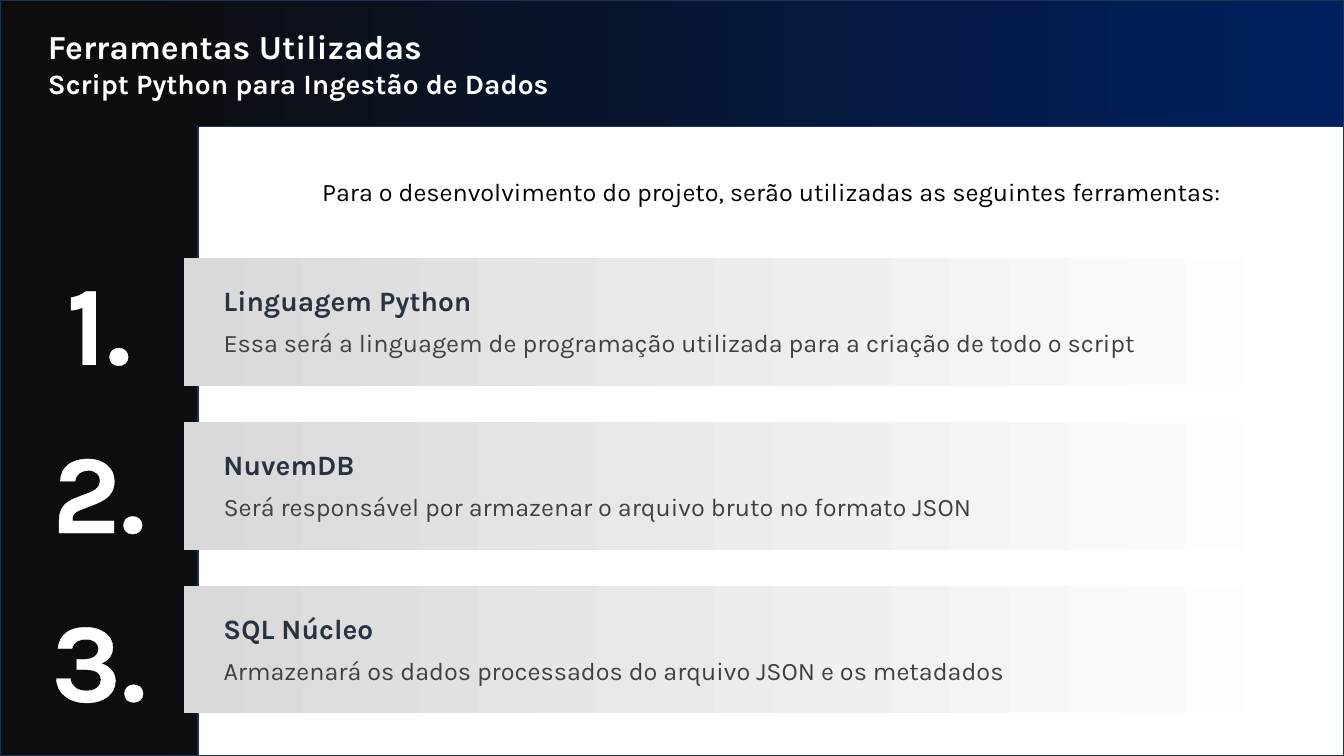
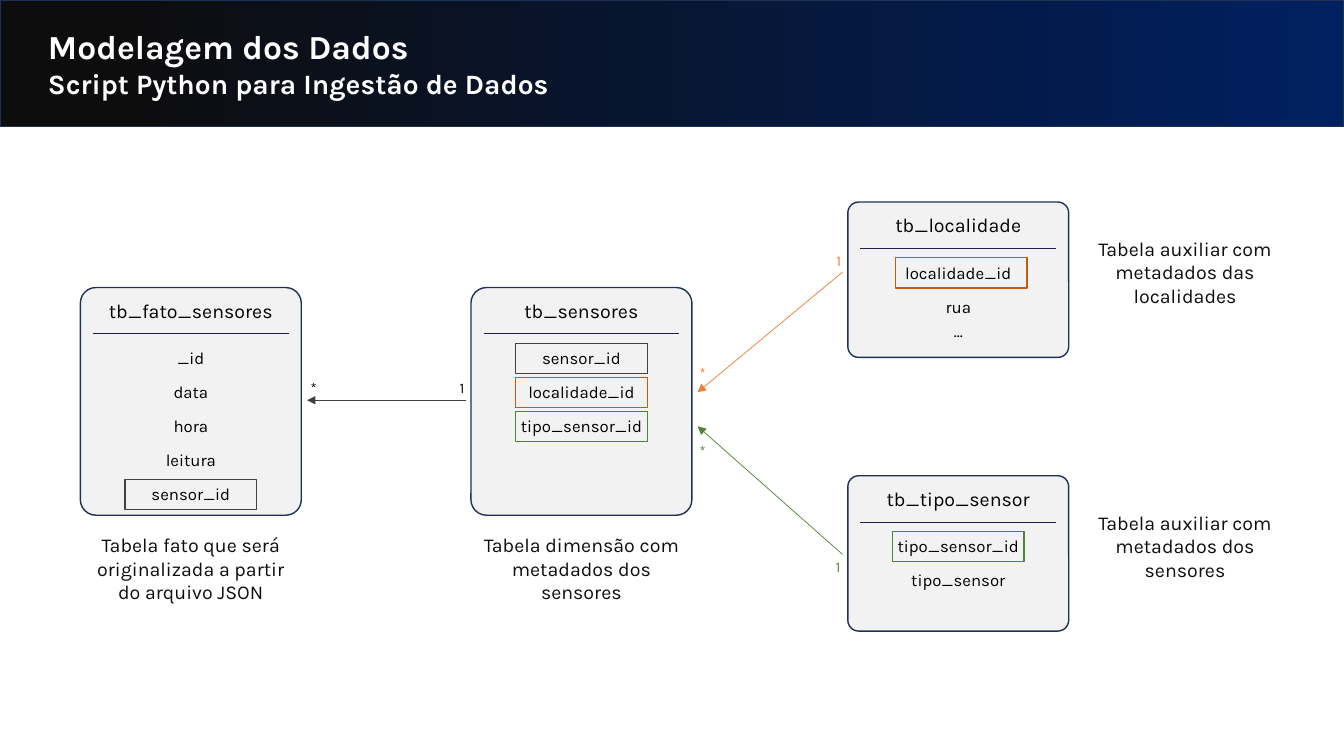
"""Builds two slides on a data ingestion project: its tools and its data model."""
import dataclasses
import typing

import lxml.etree
import pptx
import pptx.dml.color
import pptx.enum.shapes
import pptx.enum.text
import pptx.oxml
import pptx.oxml.ns
import pptx.util

SHAPE = pptx.enum.shapes.MSO_SHAPE
ALIGN = pptx.enum.text.PP_ALIGN
qn = pptx.oxml.ns.qn

COLS, ROWS = 160, 90
CELL = pptx.util.Inches(13.33) / COLS


@dataclasses.dataclass(frozen=True)
class Theme:
    font: str = "Karla"
    white: str = "FFFFFF"
    black: str = "000000"
    ink: str = "0D0D0D"
    navy: str = "002060"
    border: str = "1E3256"
    rule: str = "2D1947"
    heading: str = "293241"
    grey: str = "404040"
    bar: str = "D9D9D9"
    card: str = "F2F2F2"
    rust: str = "C55A11"
    orange: str = "ED7D31"
    green: str = "548235"
    number: float = 80
    title: float = 24
    subtitle: float = 20
    body: float = 18
    label: float = 14
    field: float = 12
    mark: float = 10.5


T = Theme()


class Box(typing.NamedTuple):
    x: float
    y: float
    w: float
    h: float


class Point(typing.NamedTuple):
    x: float
    y: float


class Gradient(typing.NamedTuple):
    start: str
    end: str
    offset: float = 0


@dataclasses.dataclass(frozen=True)
class Tool:
    name: str
    role: str


@dataclasses.dataclass(frozen=True)
class Field:
    name: str
    row: float
    key: str | None = None
    key_dx: float = 5.3


@dataclasses.dataclass(frozen=True)
class Entity:
    name: str
    at: Point
    height: float
    caption: str
    caption_shift: Point
    fields: tuple[Field, ...]


@dataclasses.dataclass(frozen=True)
class Relation:
    start: Point
    end: Point
    one: Point
    many: Point
    line: str
    text: str


BAND = Gradient(T.ink, T.navy, 0.08)
BAND_H = 15.1
SUBTITLE = "Script Python para Ingestão de Dados"
BELOW, BESIDE = Point(0, 28.65), Point(27, 3.55)
CARD_W, TALL, SHORT = 26.3, 27.1, 18.5
FIELD_PITCH, FIELD_H = 4.05, 3.6

TOOLS = (
    Tool("Linguagem Python",
         "Essa será a linguagem de programação utilizada para a criação de todo o script"),
    Tool("NuvemDB", "Será responsável por armazenar o arquivo bruto no formato JSON"),
    Tool("SQL Núcleo", "Armazenará os dados processados do arquivo JSON e os metadados"),
)

ENTITIES = (
    Entity("tb_fato_sensores", Point(9.57, 34.23), TALL,
           "Tabela fato que será originalizada a partir do arquivo JSON", BELOW,
           (Field("_id", 0), Field("data", 1), Field("hora", 2), Field("leitura", 3),
            Field("sensor_id", 4, T.grey))),
    Entity("tb_sensores", Point(56.07, 34.23), TALL,
           "Tabela dimensão com metadados dos sensores", BELOW,
           (Field("sensor_id", 0, T.grey), Field("localidade_id", 1, T.rust),
            Field("tipo_sensor_id", 2, T.green))),
    Entity("tb_localidade", Point(100.93, 24.05), SHORT,
           "Tabela auxiliar com metadados das localidades", BESIDE,
           (Field("localidade_id", 0, T.rust, 5.65), Field("rua", 1), Field("...", 1.72))),
    Entity("tb_tipo_sensor", Point(100.93, 56.63), SHORT,
           "Tabela auxiliar com metadados dos sensores", BESIDE,
           (Field("tipo_sensor_id", 0, T.green), Field("tipo_sensor", 1))),
)

RELATIONS = (
    Relation(Point(55.5, 47.65), Point(36.55, 47.65), Point(53.55, 44.5), Point(35.8, 44.45),
             T.grey, T.black),
    Relation(Point(100.3, 32.4), Point(83.05, 46.7), Point(98.4, 29.4), Point(82.1, 42.7),
             T.orange, T.orange),
    Relation(Point(100.3, 66), Point(83.05, 50.75), Point(98.3, 65.85), Point(82.1, 52),
             T.green, T.green),
)


def grid(*cells: float) -> list[pptx.util.Emu]:
    """Turn grid cells into lengths."""
    return [pptx.util.Emu(round(c * CELL)) for c in cells]


def rgb(color: str) -> pptx.dml.color.RGBColor:
    """Turn a hex string into a colour."""
    return pptx.dml.color.RGBColor.from_string(color)


def add_text(s, box: Box, *lines: str, sizes: tuple[float, ...], color: str = T.black,
             bold: bool = False, align=ALIGN.LEFT, wrap: bool = True,
             outline: str | None = None):
    """Add a text box with one paragraph per line."""
    sp = s.shapes.add_textbox(*grid(*box))
    tf = sp.text_frame
    tf.word_wrap = wrap
    tf.auto_size = pptx.enum.text.MSO_AUTO_SIZE.SHAPE_TO_FIT_TEXT
    for i, (line, size) in enumerate(zip(lines, sizes)):
        p = tf.add_paragraph() if i else tf.paragraphs[0]
        p.alignment = align
        r = p.add_run()
        r.text = line
        r.font.name, r.font.size, r.font.bold = T.font, pptx.util.Pt(size), bold
        r.font.color.rgb = rgb(color)
        if outline:
            outline_run(r, outline)
    return sp


def outline_run(r, color: str) -> None:
    """Give a run a thin outline and slightly wider spacing."""
    rpr = r._r.get_or_add_rPr()
    rpr.set("spc", "50")
    ln = lxml.etree.Element(qn("a:ln"), w=str(pptx.util.Pt(0.75)))
    fill = lxml.etree.SubElement(ln, qn("a:solidFill"))
    lxml.etree.SubElement(fill, qn("a:srgbClr"), val=color)
    rpr.insert(0, ln)


def add_box(s, box: Box, fill: str | Gradient | None = None, line: str | None = None,
            kind=SHAPE.RECTANGLE):
    """Add a preset shape with a plain, gradient or empty fill."""
    sp = s.shapes.add_shape(kind, *grid(*box))
    sp.shadow.inherit = False
    if isinstance(fill, Gradient):
        sp.fill.gradient()
        sp.fill.gradient_angle = 0
        first, last = sp.fill.gradient_stops
        first.color.rgb, first.position = rgb(fill.start), fill.offset
        last.color.rgb, last.position = rgb(fill.end), 1
    elif fill:
        sp.fill.solid()
        sp.fill.fore_color.rgb = rgb(fill)
    else:
        sp.fill.background()
    if line:
        sp.line.color.rgb = rgb(line)
        sp.line.width = pptx.util.Pt(1)
    else:
        sp.line.fill.background()
    return sp


def add_line(s, start: Point, end: Point, color: str, arrow: bool = False):
    """Add a thin straight line, with an arrowhead at its end if asked."""
    cn = s.shapes.add_connector(pptx.enum.shapes.MSO_CONNECTOR.STRAIGHT, *grid(*start, *end))
    cn.line.color.rgb = rgb(color)
    cn.line.width = pptx.util.Pt(0.5)
    if arrow:
        lxml.etree.SubElement(cn.line._get_or_add_ln(), qn("a:tailEnd"), type="triangle")
    lxml.etree.SubElement(cn._element.spPr, qn("a:effectLst"))
    return cn


def add_slide(prs, title: str, band_h: float):
    """Add a blank slide with the gradient band and the two-line title."""
    s = prs.slides.add_slide(prs.slide_layouts[6])
    add_box(s, Box(0, 0, COLS, band_h), BAND, T.border)
    add_text(s, Box(4.53, 2.5, 63, 10.1), title, SUBTITLE, sizes=(T.title, T.subtitle),
             color=T.white, bold=True)
    return s


def add_tool(s, i: int, tool: Tool) -> None:
    """Draw one numbered tool bar."""
    y = 30.73 + 19.5 * i
    add_text(s, Box(4.8, 29.5 + 20.04 * i, 13.9, 20), f"{i + 1}.", sizes=(T.number,),
             color=T.white, bold=True, align=ALIGN.CENTER, outline=T.white)
    add_box(s, Box(21.88, y, 133.3, 15.2), Gradient(T.bar, T.white))
    add_text(s, Box(25.43, y + 2.47, 73.2, 5.3), tool.name, sizes=(T.subtitle,),
             color=T.heading, bold=True)
    add_text(s, Box(25.43, y + 7.67, 120.6, 4.8), tool.role, sizes=(T.body,), color=T.grey)


def add_entity(s, entity: Entity) -> None:
    """Draw one table card with its fields, keys and caption."""
    x, y = entity.at
    dx, dy = entity.caption_shift
    card = add_box(s, Box(x, y, CARD_W, entity.height), T.card, T.border,
                   SHAPE.ROUNDED_RECTANGLE)
    card.adjustments[0] = 0.07
    add_text(s, Box(x - 0.65, y + 0.72, 27.6, 4.1), entity.name, sizes=(T.label,),
             align=ALIGN.CENTER)
    add_line(s, Point(x + 1.5, y + 5.5), Point(x + CARD_W - 1.5, y + 5.5), T.rule)
    add_text(s, Box(x + dx, y + dy, CARD_W, 9.7), entity.caption, sizes=(T.label,),
             color=T.ink, align=ALIGN.CENTER)
    for field in entity.fields:
        top = y + 6.58 + FIELD_PITCH * field.row
        add_text(s, Box(x - 0.65, top, 27.6, FIELD_H), field.name, sizes=(T.field,),
                 align=ALIGN.CENTER)
        if field.key:
            add_box(s, Box(x + field.key_dx, top + 0.05, 15.7, FIELD_H), line=field.key)


def add_relation(s, relation: Relation) -> None:
    """Draw one arrow with its cardinality marks."""
    add_line(s, relation.start, relation.end, relation.line, arrow=True)
    for mark, at in (("1", relation.one), ("*", relation.many)):
        add_text(s, Box(*at, 3.1, 3.4), mark, sizes=(T.mark,), color=relation.text, wrap=False)


def build_tools(prs) -> None:
    """Build the slide that lists the tools."""
    s = add_slide(prs, "Ferramentas Utilizadas", ROWS)
    left = 23.57
    add_box(s, Box(left, BAND_H, COLS - left, ROWS - BAND_H), T.white, T.border)
    add_text(s, Box(33.4, 20.4, 116.9, 8.5),
             "Para o desenvolvimento do projeto, serão utilizadas as seguintes ferramentas:",
             sizes=(T.body,), align=ALIGN.CENTER)
    for i, tool in enumerate(TOOLS):
        add_tool(s, i, tool)


def build_model(prs) -> None:
    """Build the slide that shows the data model."""
    s = add_slide(prs, "Modelagem dos Dados", BAND_H)
    for entity in ENTITIES:
        add_entity(s, entity)
    for relation in RELATIONS:
        add_relation(s, relation)


def main() -> None:
    """Build and save the presentation."""
    prs = pptx.Presentation()
    prs.slide_width, prs.slide_height = grid(COLS, ROWS)
    build_tools(prs)
    build_model(prs)
    prs.save("out.pptx")


if __name__ == "__main__":
    main()
